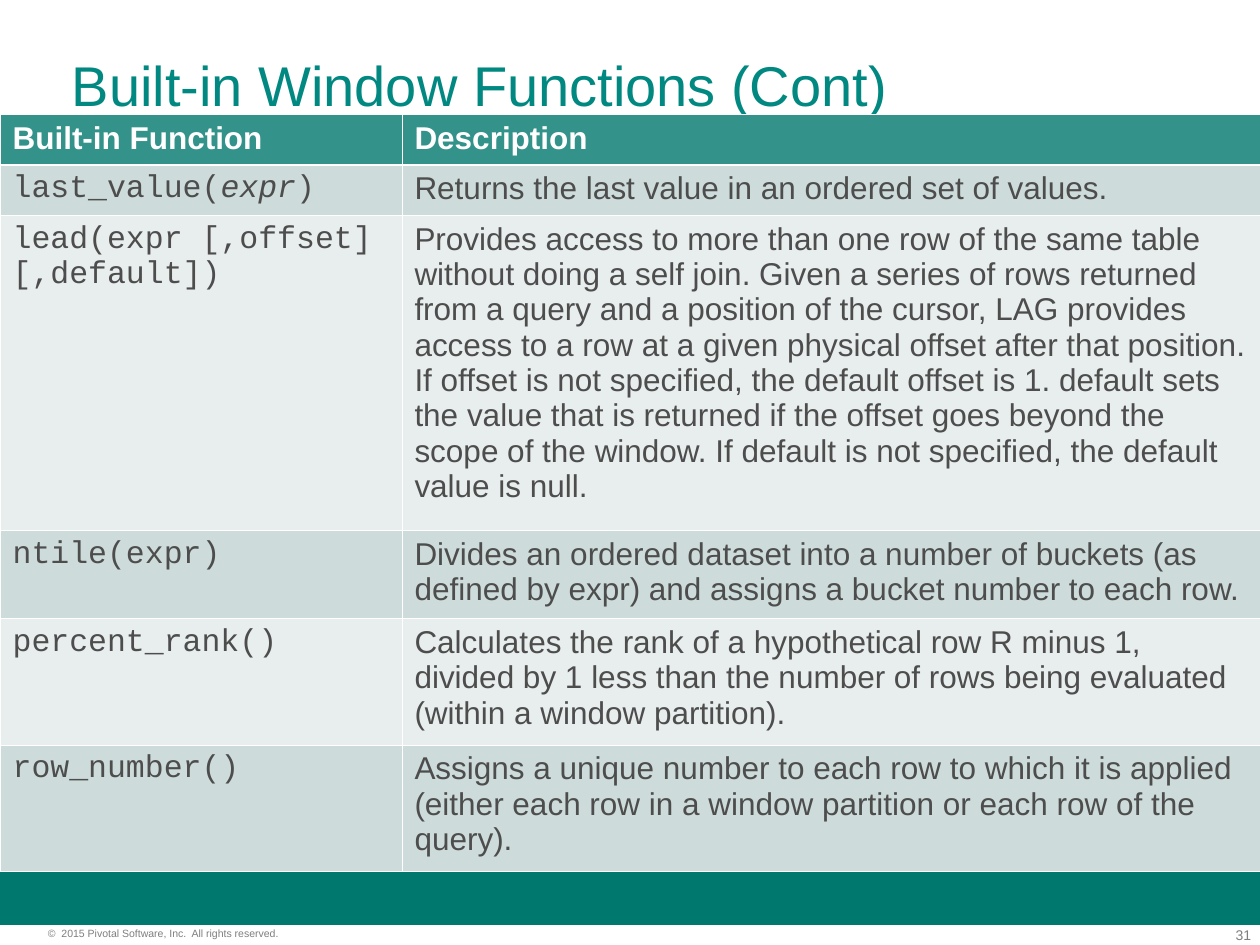
from dataclasses import dataclass

from lxml import etree
from pptx import Presentation
from pptx.dml.color import RGBColor
from pptx.enum.shapes import MSO_SHAPE
from pptx.enum.text import MSO_ANCHOR, PP_ALIGN
from pptx.oxml.ns import qn
from pptx.util import Inches, Pt

RECTANGLE = MSO_SHAPE.RECTANGLE
TOP = MSO_ANCHOR.TOP
LEFT, RIGHT = PP_ALIGN.LEFT, PP_ALIGN.RIGHT

WHITE = RGBColor(0xFF, 0xFF, 0xFF)
TITLE_TEAL = RGBColor(0x00, 0x88, 0x81)
BAND_TEAL = RGBColor(0x00, 0x78, 0x6E)
HEADER_TEAL = RGBColor(0x33, 0x92, 0x8A)
ROW_TINTS = (RGBColor(0xCD, 0xDC, 0xDA), RGBColor(0xE8, 0xEE, 0xED))
BODY_GRAY = RGBColor(0x4D, 0x4D, 0x4D)
FOOTER_GRAY = RGBColor(0x7F, 0x7F, 0x7F)

SANS, MONO = "Arial", "Courier New"
PAGE_WIDTH, PAGE_HEIGHT = 10, 7.5
TABLE_TOP = 0.91
COLUMN_SHARES = (0.319, 0.681)
HEADER_HEIGHT = 0.4
THIN_RULE, HEADER_RULE = Pt(0.45), Pt(1.47)


@dataclass(frozen=True)
class WindowFunction:
    signature: tuple[str, ...]  # every second part is set in italics
    description: str
    height: float


@dataclass(frozen=True)
class FooterText:
    text: str
    left: float
    top: float
    width: float
    height: float
    size: float
    align: PP_ALIGN


FUNCTIONS = (
    WindowFunction(("last_value(", "expr", ")"),
                   "Returns the last value in an ordered set of values.", 0.4),
    WindowFunction(("lead(expr [,offset] [,default])",),
                   "Provides access to more than one row of the same table without doing "
                   "a self join. Given a series of rows returned from a query and a "
                   "position of the cursor, LAG provides access to a row at a given "
                   "physical offset after that position. If offset is not specified, the "
                   "default offset is 1. default sets the value that is returned if the "
                   "offset goes beyond the scope of the window. If default is not "
                   "specified, the default value is null.", 2.5),
    WindowFunction(("ntile(expr)",),
                   "Divides an ordered dataset into a number of buckets (as defined by "
                   "expr) and assigns a bucket number to each row.", 0.7),
    WindowFunction(("percent_rank()",),
                   "Calculates the rank of a hypothetical row R minus 1, divided by 1 less "
                   "than the number of rows being evaluated (within a window partition).", 1),
    WindowFunction(("row_number()",),
                   "Assigns a unique number to each row to which it is applied (either each "
                   "row in a window partition or each row of the query).", 1),
)
FOOTERS = (
    FooterText("©  2015 Pivotal Software, Inc.  All rights reserved.",
               0.38, 7.36, 2.49, 0.1, 6, LEFT),
    FooterText("31", 9.35, 7.35, 0.58, 0.13, 8, RIGHT),
)


def add_text(para, text: str, *, size: float, color: RGBColor, font: str = SANS,
             bold: bool = False, italic: bool = False, align: PP_ALIGN = LEFT) -> None:
    para.alignment = align
    span = para.add_run()
    span.text = text
    span.font.name = font
    span.font.size = Pt(size)
    span.font.bold = bold
    span.font.italic = italic
    span.font.color.rgb = color


def set_insets(frame, left: float, top: float, right: float, bottom: float) -> None:
    frame.margin_left, frame.margin_top = Inches(left), Inches(top)
    frame.margin_right, frame.margin_bottom = Inches(right), Inches(bottom)


def format_cell(cell, fill: RGBColor, top_rule: int, bottom_rule: int) -> None:
    properties = cell._tc.get_or_add_tcPr()
    rules = {"a:lnL": THIN_RULE, "a:lnR": THIN_RULE, "a:lnT": top_rule, "a:lnB": bottom_rule}
    for tag, width in rules.items():
        line = etree.SubElement(properties, qn(tag), w=str(int(width)))
        paint = etree.SubElement(line, qn("a:solidFill"))
        etree.SubElement(paint, qn("a:srgbClr"), val=str(WHITE))
    cell.fill.solid()
    cell.fill.fore_color.rgb = fill
    set_insets(cell, 0.1, 0.05, 0.1, 0.05)


def add_title(page, text: str) -> None:
    title = page.shapes.title
    title.left, title.top = Inches(0.5), Inches(0.3)
    title.width, title.height = Inches(9), Inches(1.25)
    frame = title.text_frame
    frame.vertical_anchor = TOP
    set_insets(frame, 0.07, 0.1, 0.07, 0.05)
    add_text(frame.paragraphs[0], text, size=32, color=TITLE_TEAL)


def add_band(page) -> None:
    band = page.shapes.add_shape(RECTANGLE, 0, Inches(6.92), Inches(PAGE_WIDTH), Inches(0.42))
    band.shadow.inherit = False
    band.fill.solid()
    band.fill.fore_color.rgb = BAND_TEAL
    band.line.fill.background()


def add_footer(page, footer: FooterText) -> None:
    box = page.shapes.add_textbox(Inches(footer.left), Inches(footer.top),
                                  Inches(footer.width), Inches(footer.height))
    frame = box.text_frame
    frame.word_wrap = True
    set_insets(frame, 0, 0, 0, 0)
    add_text(frame.paragraphs[0], footer.text, size=footer.size,
             color=FOOTER_GRAY, align=footer.align)


def add_function_table(page, functions: tuple[WindowFunction, ...]) -> None:
    heights = [HEADER_HEIGHT] + [function.height for function in functions]
    table = page.shapes.add_table(len(heights), len(COLUMN_SHARES), 0, Inches(TABLE_TOP),
                                  Inches(PAGE_WIDTH), Inches(sum(heights))).table
    for column, share in zip(table.columns, COLUMN_SHARES):
        column.width = Inches(PAGE_WIDTH * share)
    for index, (row, height) in enumerate(zip(table.rows, heights)):
        row.height = Inches(height)
        fill = ROW_TINTS[(index - 1) % 2] if index else HEADER_TEAL
        for cell in row.cells:
            format_cell(cell, fill, HEADER_RULE if index == 1 else THIN_RULE,
                        HEADER_RULE if index == 0 else THIN_RULE)

    for column, heading in enumerate(("Built-in Function", "Description")):
        para = table.cell(0, column).text_frame.paragraphs[0]
        add_text(para, heading, size=18, color=WHITE, bold=True)
    for index, function in enumerate(functions, start=1):
        name_para, description_para = (
            table.cell(index, column).text_frame.paragraphs[0] for column in (0, 1))
        for position, part in enumerate(function.signature):
            add_text(name_para, part, size=18, color=BODY_GRAY, font=MONO,
                     italic=position % 2 == 1)
        add_text(description_para, function.description, size=18, color=BODY_GRAY)


def main() -> None:
    deck = Presentation()
    deck.slide_width, deck.slide_height = Inches(PAGE_WIDTH), Inches(PAGE_HEIGHT)
    page = deck.slides.add_slide(deck.slide_layouts.get_by_name("Title Only"))
    add_band(page)
    for footer in FOOTERS:
        add_footer(page, footer)
    add_title(page, "Built-in Window Functions (Cont)")
    add_function_table(page, FUNCTIONS)
    deck.save("out.pptx")


if __name__ == "__main__":
    main()
